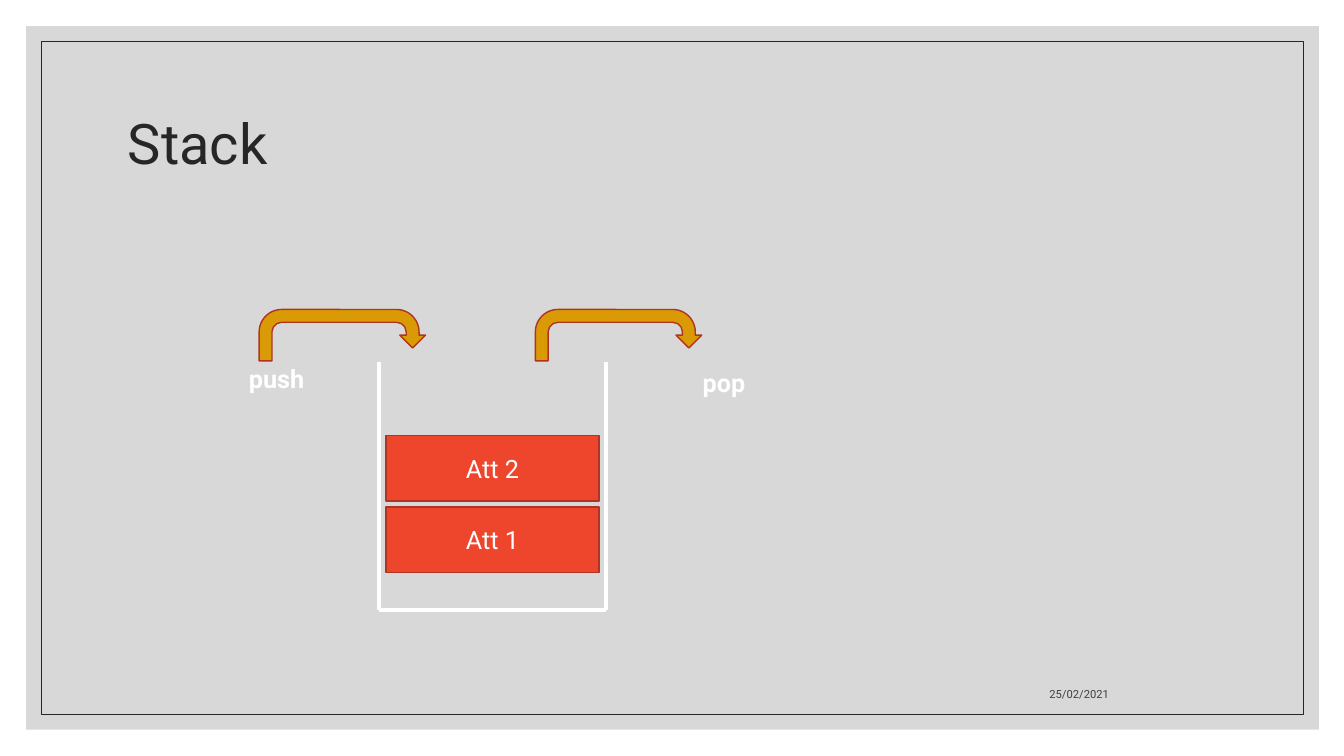
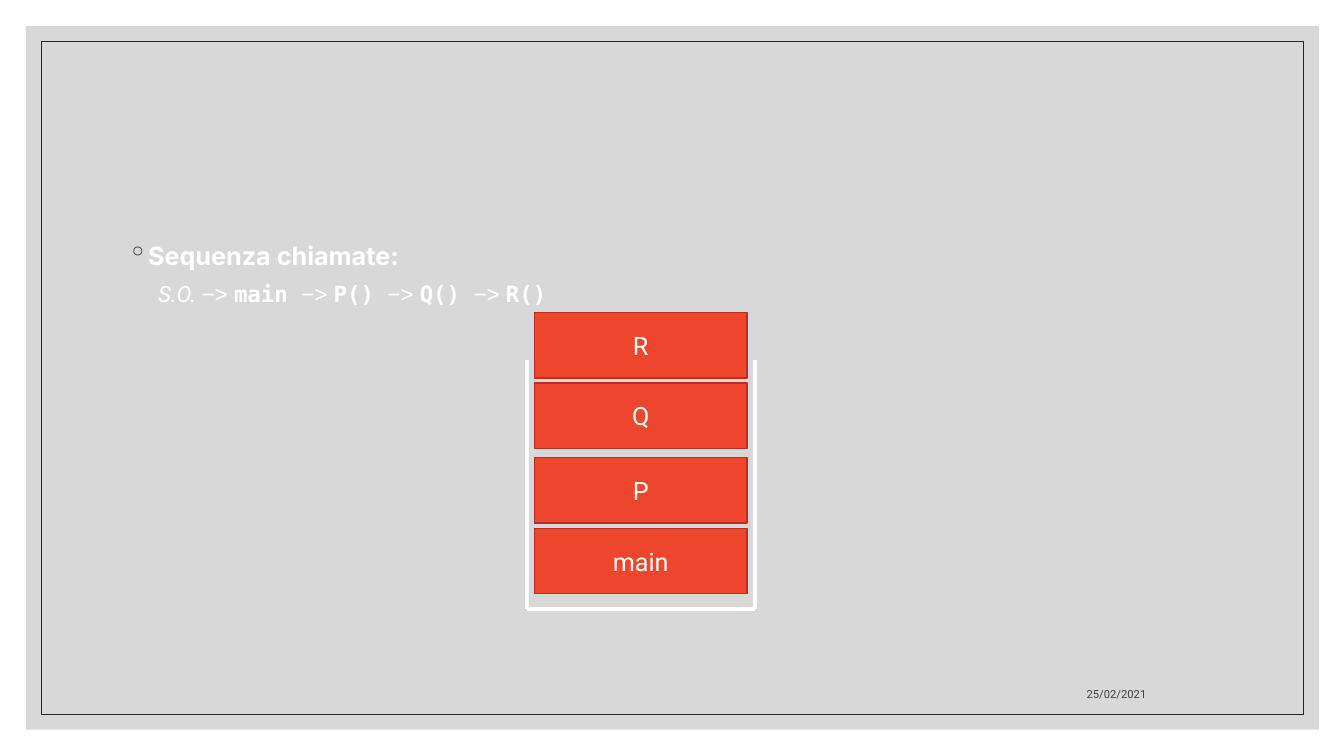
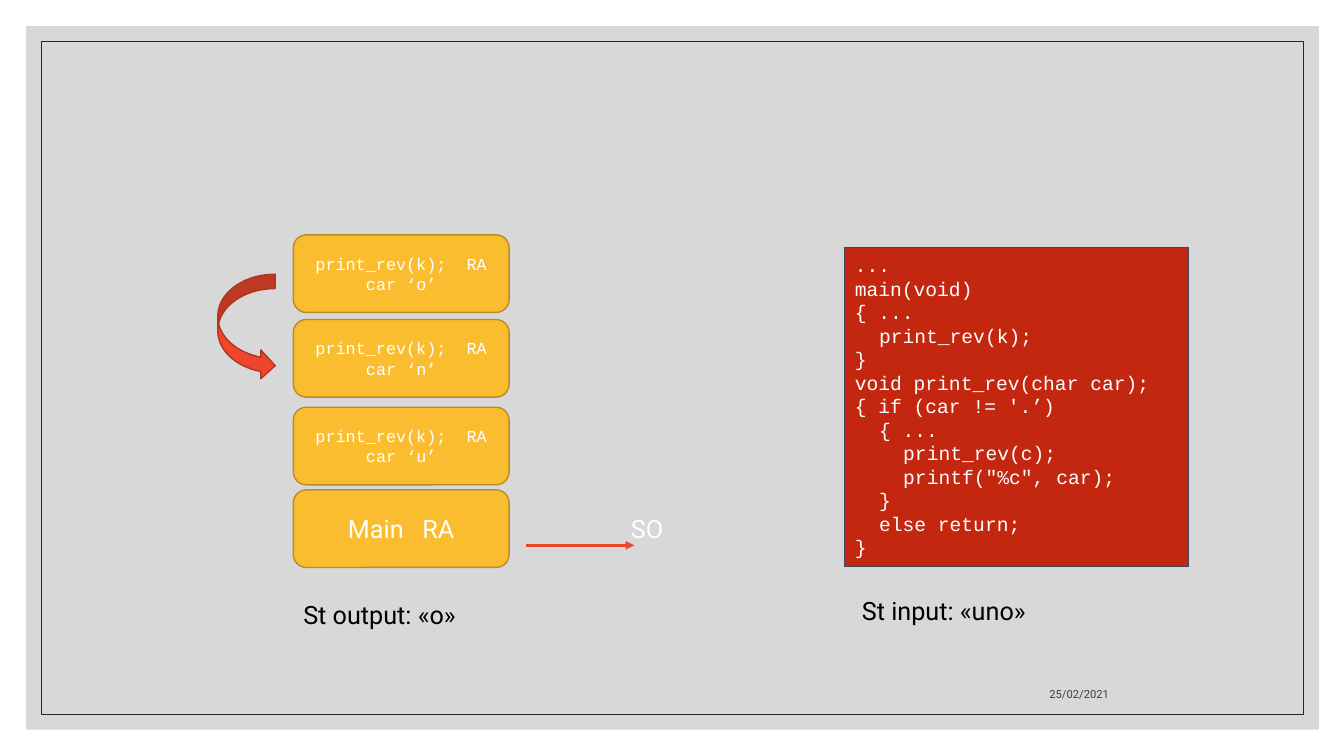
from lxml.etree import SubElement
from pptx import Presentation
from pptx.dml.color import RGBColor
from pptx.enum.shapes import MSO_CONNECTOR, MSO_SHAPE
from pptx.enum.text import MSO_ANCHOR, PP_ALIGN
from pptx.oxml.ns import qn
from pptx.util import Inches, Pt

WHITE, BLACK, DARK, GREY = "FFFFFF", "000000", "262626", "404040"
PANEL = "BFBFBF"
RED, RED_EDGE = "EE462D", "B03421"
AMBER, AMBER_EDGE, ARROW = "FABD2F", "B98C23", "DA9A05"
CODE_FILL, CODE_EDGE = "C42710", "424362"
SANS, HEADING, CODE, MONO, SYMBOL = "Roboto", "Inter", "Courier New", "DejaVu Sans Mono", "Arial"
CODE_STEP = 0.12


def rgb(value):
    return RGBColor.from_string(value)


class Deck:
    def __init__(self):
        self.prs = Presentation()
        self.prs.slide_width = Inches(13.33)
        self.prs.slide_height = Inches(7.5)
        self.s = None

    def new_slide(self, date_left=7.94):
        self.s = self.prs.slides.add_slide(self.prs.slide_layouts[6])
        panel = self.shape(MSO_SHAPE.RECTANGLE, 0.26, 0.26, 12.82, 6.98, PANEL)
        color = panel._element.spPr.find(qn("a:solidFill"))[0]
        SubElement(color, qn("a:alpha"), val="60000")
        self.shape(MSO_SHAPE.RECTANGLE, 0.41, 0.41, 12.52, 6.68, edge=DARK, weight=0.5)
        self.text("25/02/2021", date_left, 6.6, 3.16, 0.4, size=8, color=GREY,
                  anchor=MSO_ANCHOR.BOTTOM, align=PP_ALIGN.RIGHT)

    def style_run(self, r, size=18, color=WHITE, font=SANS, bold=False, italic=False):
        r.font.size = Pt(size)
        r.font.name = font
        r.font.bold = bold
        r.font.italic = italic
        r.font.color.rgb = rgb(color)

    def fill_text(self, sp, text, anchor, align, **style):
        tf = sp.text_frame
        tf.word_wrap = True
        tf.vertical_anchor = anchor
        tf.text = text
        for p in tf.paragraphs:
            p.alignment = align
            for r in p.runs:
                self.style_run(r, **style)
        return tf

    def text(self, text, x, y, w, h, anchor=MSO_ANCHOR.TOP, align=PP_ALIGN.LEFT, **style):
        sp = self.s.shapes.add_textbox(Inches(x), Inches(y), Inches(w), Inches(h))
        return self.fill_text(sp, text, anchor, align, **style)

    def title(self, text):
        tf = self.text(text, 1.17, 0.7, 11, 1.5, MSO_ANCHOR.MIDDLE, size=40, color=DARK)
        tf.paragraphs[0].line_spacing = 0.9

    def shape(self, kind, x, y, w, h, fill=None, edge=None, weight=1):
        sp = self.s.shapes.add_shape(kind, Inches(x), Inches(y), Inches(w), Inches(h))
        sp.shadow.inherit = False
        if fill:
            sp.fill.solid()
            sp.fill.fore_color.rgb = rgb(fill)
        else:
            sp.fill.background()
        if edge:
            sp.line.color.rgb = rgb(edge)
            sp.line.width = Pt(weight)
        else:
            sp.line.fill.background()
        return sp

    def block(self, text, x, y):
        sp = self.shape(MSO_SHAPE.RECTANGLE, x, y, 2.11, 0.65, RED, RED_EDGE)
        self.fill_text(sp, text, MSO_ANCHOR.MIDDLE, PP_ALIGN.CENTER)

    def frame(self, text, y, **style):
        sp = self.shape(MSO_SHAPE.ROUNDED_RECTANGLE, 2.91, y, 2.14, 0.77, AMBER, AMBER_EDGE)
        self.fill_text(sp, text, MSO_ANCHOR.MIDDLE, PP_ALIGN.CENTER, **style)

    def line(self, x1, y1, x2, y2, color=WHITE, weight=3, arrow=False):
        c = self.s.shapes.add_connector(MSO_CONNECTOR.STRAIGHT, Inches(x1), Inches(y1),
                                        Inches(x2), Inches(y2))
        c.line.color.rgb = rgb(color)
        c.line.width = Pt(weight)
        spPr = c._element.spPr
        if arrow:
            SubElement(spPr.find(qn("a:ln")), qn("a:tailEnd"), type="triangle")
        SubElement(spPr, qn("a:effectLst"))

    def stack(self, left, top, right, bottom, blocks):
        self.line(left, top, left, bottom)
        self.line(right, top, right, bottom)
        self.line(right, bottom, left, bottom)
        for label, y in blocks:
            self.block(label, left + 0.07, y)

    def move(self, label, arrow_x, label_x, label_y):
        self.shape(MSO_SHAPE.U_TURN_ARROW, arrow_x, 3.07, 1.65, 0.51, ARROW, RED_EDGE)
        self.text(label, label_x, label_y, 2.02, 0.4, bold=True)

    def call_sequence(self, heading, origin, calls):
        tf = self.text(heading, 1.17, 2.3, 11, 4.21, font=HEADING, bold=True)
        first, p = tf.paragraphs[0], tf.add_paragraph()
        first.space_before = Pt(9)
        p.space_before = Pt(5)
        first.line_spacing = p.line_spacing = 1.1
        pPr = first._p.get_or_add_pPr()
        pPr.set("marL", str(Inches(0.2)))
        pPr.set("indent", str(Inches(-0.2)))
        color = SubElement(pPr, qn("a:buClr"))
        SubElement(color, qn("a:srgbClr"), val=DARK)
        SubElement(pPr, qn("a:buChar"), char="◦")
        p.level = 1
        p._p.get_or_add_pPr().set("marL", str(Inches(0.3)))
        parts = [(origin, dict(italic=True))]
        for call in calls:
            parts += [("−> ", dict(font=SYMBOL)), (call, dict(font=MONO, bold=True))]
        for text, style in parts:
            r = p.add_run()
            r.text = text
            self.style_run(r, size=16, **style)

    def code(self, lines, x, y, w, h):
        sp = self.shape(MSO_SHAPE.RECTANGLE, x, y, w, h, CODE_FILL, CODE_EDGE, 0.75)
        tf = self.fill_text(sp, "\n".join(text for _, text in lines), MSO_ANCHOR.TOP,
                            PP_ALIGN.LEFT, size=14, font=CODE)
        for p, (columns, _) in zip(tf.paragraphs, lines):
            p._p.get_or_add_pPr().set("marL", str(Inches(columns * CODE_STEP)))


def stack_slide(deck):
    deck.new_slide()
    deck.title("Stack")
    deck.stack(3.76, 3.59, 6.01, 6.05, [("Att 2", 4.32), ("Att 1", 5.03)])
    deck.move("pop", 5.31, 6.87, 3.59)
    deck.move("push", 2.57, 2.37, 3.56)


def calls_slide(deck):
    deck.new_slide(date_left=8.31)
    deck.call_sequence("Sequenza chiamate:", "S.O. ", ["main ", "P() ", "Q() ", "R()"])
    deck.stack(5.23, 3.57, 7.49, 6.04, [("R", 3.1), ("Q", 3.8), ("P", 4.54), ("main", 5.24)])


def recursion_slide(deck):
    deck.new_slide()
    deck.code([
        (0, "..."),
        (0, "main(void)"),
        (0, "{ ..."),
        (2, "print_rev(k);"),
        (0, "}"),
        (0, "void print_rev(char car);"),
        (0, "{ if (car != '.’)"),
        (2, "{ ..."),
        (4, "print_rev(c);"),
        (4, "printf(\"%c\", car);"),
        (2, "}"),
        (2, "else return;"),
        (0, "}"),
    ], 8.38, 2.46, 3.41, 3.16)
    deck.frame("Main   RA", 4.86)
    for letter, y in [("u", 4.04), ("n", 3.17), ("o", 2.33)]:
        deck.frame(f"print_rev(k);  RA\ncar ‘{letter}’", y, size=12, font=CODE)
    deck.line(5.22, 5.41, 6.29, 5.41, RED, 2, arrow=True)
    deck.text("SO", 6.16, 5.04, 0.56, 0.4)
    deck.shape(MSO_SHAPE.CURVED_RIGHT_ARROW, 2.16, 2.72, 0.57, 1.05, RED, RED_EDGE)
    deck.text("St output: «o»", 2.91, 5.9, 2.14, 0.41, color=BLACK)
    deck.text("St input: «uno»", 8.45, 5.86, 2.14, 0.41, color=BLACK)


def main():
    deck = Deck()
    stack_slide(deck)
    calls_slide(deck)
    recursion_slide(deck)
    deck.prs.save("out.pptx")


if __name__ == "__main__":
    main()
